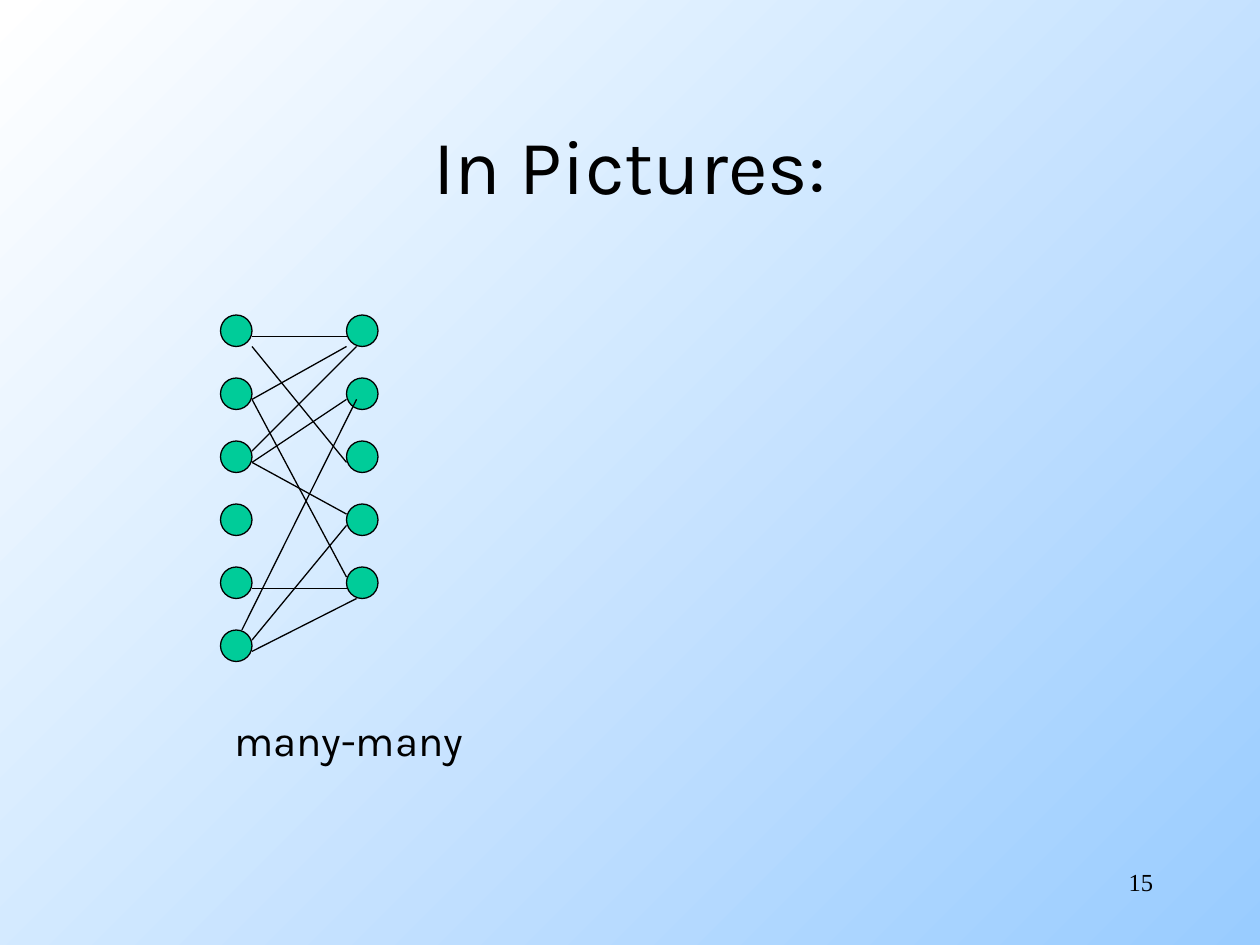
from lxml import etree
from pptx import Presentation
from pptx.dml.color import RGBColor
from pptx.enum.shapes import MSO_CONNECTOR, MSO_SHAPE
from pptx.enum.text import MSO_ANCHOR, PP_ALIGN
from pptx.oxml.ns import qn
from pptx.util import Cm, Pt

LINE, OVAL = MSO_CONNECTOR.STRAIGHT, MSO_SHAPE.OVAL
TOP, MID = MSO_ANCHOR.TOP, MSO_ANCHOR.MIDDLE
LEFT, CENTER, RIGHT = PP_ALIGN.LEFT, PP_ALIGN.CENTER, PP_ALIGN.RIGHT
BLACK = RGBColor(0x00, 0x00, 0x00)
WHITE = RGBColor(0xFF, 0xFF, 0xFF)
GREEN = RGBColor(0x00, 0xCC, 0x99)
BLUE = RGBColor(0x99, 0xCC, 0xFF)

TEXTS = [
    ("15", (7.17, 6.83, 2.08, 0.5), 14, "Times New Roman", RIGHT, TOP, True),
    ("In Pictures:", (0.75, 0.67, 8.5, 1.25), 44, "Karla", CENTER, MID, True),
    ("many-many", (1.76, 5.62, 2.05, 0.5), 24, "Karla", LEFT, TOP, False),
]
COLUMNS = [(1.75, 6), (2.75, 5)]
FIRST, STEP, SIZE = 2.5, 0.5, 0.25
EDGES = [
    (2, 2.75, 2.75, 3.67),
    (2, 2.67, 2.75, 2.67),
    (2, 3.17, 2.75, 2.75),
    (2, 3.58, 2.83, 2.75),
    (2, 3.17, 2.75, 4.58),
    (2, 4.67, 2.75, 4.67),
    (2, 5.17, 2.83, 4.75),
    (2, 3.67, 2.75, 3.17),
    (1.92, 5, 2.83, 3.17),
    (2, 5.08, 2.75, 4.17),
    (2.75, 4.08, 2, 3.67),
]


def scale(*inches):
    return [Cm(2.54 * n) for n in inches]


def ink(line):
    line.color.rgb = BLACK
    line.width = Pt(0.75)


def add_text(slide, text, box, size, face, align, anchor, wrap):
    frame = slide.shapes.add_textbox(*scale(*box)).text_frame
    frame.word_wrap = wrap
    frame.vertical_anchor = anchor
    para = frame.paragraphs[0]
    para.alignment = align
    run = para.add_run()
    run.text = text
    run.font.size = Pt(size)
    run.font.name = face
    run.font.color.rgb = BLACK


def add_node(slide, left, top):
    node = slide.shapes.add_shape(OVAL, *scale(left, top, SIZE, SIZE))
    node.shadow.inherit = False
    node.fill.solid()
    node.fill.fore_color.rgb = GREEN
    ink(node.line)


def add_edge(slide, ends):
    edge = slide.shapes.add_connector(LINE, *scale(*ends))
    ink(edge.line)
    etree.SubElement(edge._element.spPr, qn("a:effectLst"))


def main():
    deck = Presentation()
    deck.slide_width, deck.slide_height = scale(10, 7.5)
    slide = deck.slides.add_slide(deck.slide_layouts[6])

    fill = slide.background.fill
    fill.gradient()
    fill.gradient_angle = 315
    for stop, color, place in zip(fill.gradient_stops, (WHITE, BLUE), (0, 1)):
        stop.color.rgb = color
        stop.position = place

    for left, count in COLUMNS:
        for row in range(count):
            add_node(slide, left, FIRST + row * STEP)
    for ends in EDGES:
        add_edge(slide, ends)
    for item in TEXTS:
        add_text(slide, *item)

    deck.save("out.pptx")


if __name__ == "__main__":
    main()
